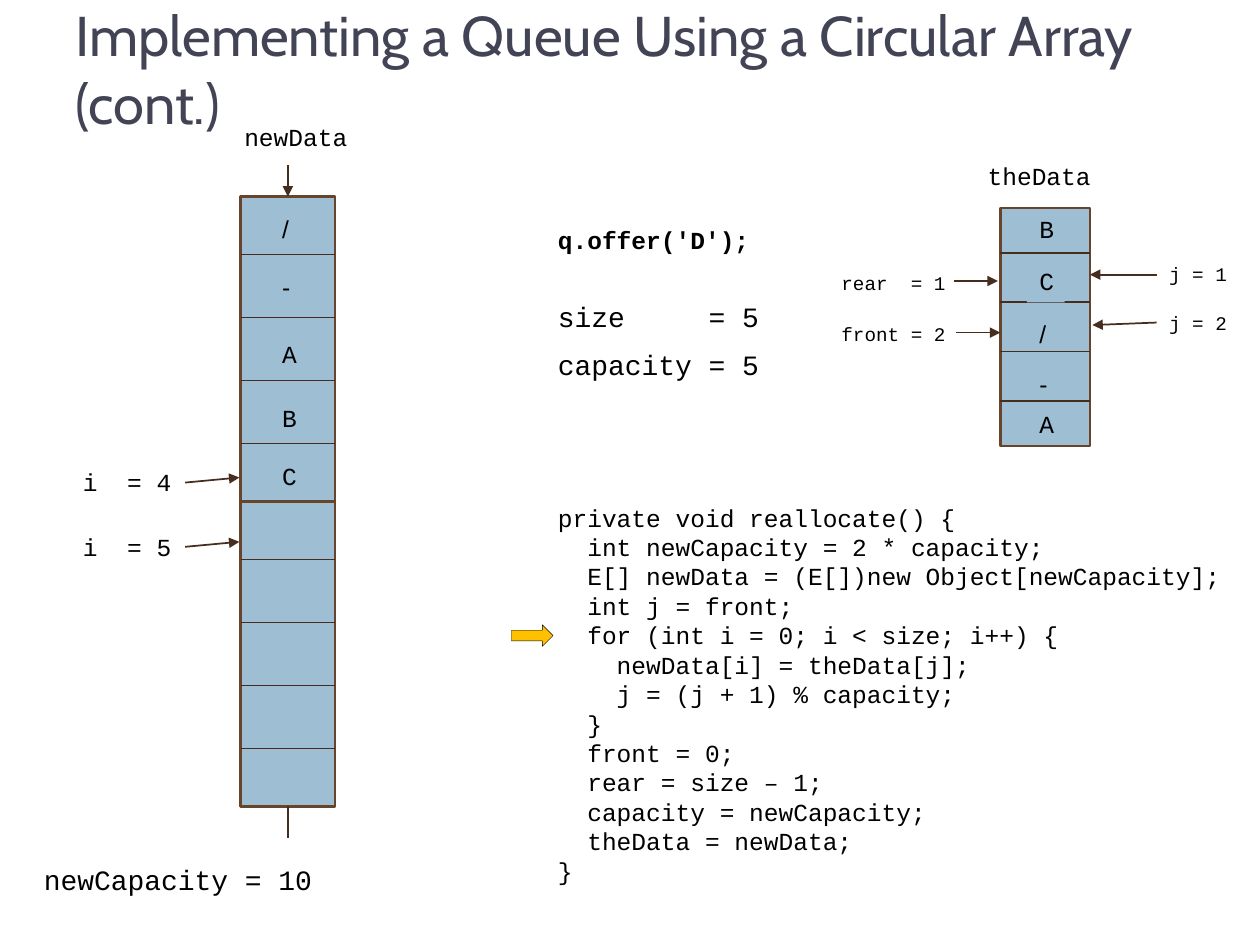
import pptx
import pptx.dml.color
import pptx.enum.shapes
import pptx.enum.text
import pptx.oxml.ns
import pptx.util
from lxml import etree

THEME = {
    "title": "424456", "ink": "000000", "cell": "9DBED3", "frame": "67452D",
    "line": "462E1F", "marker": "FFC000",
    "title_font": "Cabin", "code_font": "Courier New", "symbol_font": "Arial",
    "title_size": 32, "value_size": 16, "code_size": 14, "label_size": 11,
}
SLIDE = (10, 7.5)

TITLE = "Implementing a Queue Using a Circular Array (cont.)"
CODE = [
    "private void reallocate() {",
    "  int newCapacity = 2 * capacity;",
    "  E[] newData = (E[])new Object[newCapacity];",
    "  int j = front;",
    "  for (int i = 0; i < size; i++) {",
    "    newData[i] = theData[j];",
    "    j = (j + 1) % capacity;",
    "  }",
    "  front = 0;",
    "  rear = size – 1;",
    "  capacity = newCapacity;",
    "  theData = newData;",
    "}",
]
CODE_LEFT = 4.33

# Each block holds five cells: left, top, width, height.
NEW_DATA_BLOCKS = [(1.91, 1.56, 0.75, 2.42), (1.91, 3.98, 0.75, 2.42)]
THE_DATA_BLOCK = (7.94, 1.65, 0.71, 1.89)
END_CELL = 0.19  # share of a block taken by its first and its last cell

# Letter and the top of its box.
NEW_DATA_ITEMS = [("/", 1.65), ("-", 2.11), ("A", 2.64), ("B", 3.15), ("C", 3.61)]
THE_DATA_ITEMS = [("B", 1.65), ("C", 2.06), ("/", 2.48), ("-", 2.88), ("A", 3.2)]

# Text, box, type size.
VALUES = [
    ("size     = 5", (CODE_LEFT, 2.33, 1.82, 0.37), "value_size"),
    ("capacity = 5", (CODE_LEFT, 2.71, 1.82, 0.37), "value_size"),
    ("newCapacity = 10", (0.25, 6.8, 3.33, 0.37), "value_size"),
    ("newData", (1.84, 0.92, 1.08, 0.34), "code_size"),
    ("theData", (7.74, 1.23, 1.08, 0.34), "code_size"),
]
# Text, box, type size, arrow start, arrow end.
POINTERS = [
    ("front = 2", (6.58, 2.51, 1.04, 0.29), "label_size", (7.59, 2.64), (7.94, 2.64)),
    ("rear  = 1", (6.58, 2.1, 1.04, 0.29), "label_size", (7.57, 2.23), (7.92, 2.23)),
    ("j = 1", (9.18, 2.03, 0.67, 0.29), "label_size", (9.18, 2.18), (8.65, 2.18)),
    ("j = 2", (9.18, 2.42, 0.67, 0.29), "label_size", (9.18, 2.56), (8.67, 2.58)),
    ("i  = 4", (0.56, 3.66, 0.91, 0.34), "code_size", (1.47, 3.83), (1.9, 3.79)),
    ("i  = 5", (0.56, 4.17, 0.91, 0.34), "code_size", (1.47, 4.34), (1.9, 4.3)),
]

SHAPES = pptx.enum.shapes.MSO_SHAPE
ANCHORS = pptx.enum.text.MSO_ANCHOR


def inches(lengths):
    return [pptx.util.Inches(length) for length in lengths]


def color(role):
    return pptx.dml.color.RGBColor.from_string(THEME[role])


def add_text(slide, text, box, size="code_size", font="code_font", ink="ink",
             bold=False, wrap=True, anchor=ANCHORS.TOP, fill=None):
    """Add a text box; each line of text becomes a paragraph."""
    label = slide.shapes.add_textbox(*inches(box))
    if fill:
        label.fill.solid()
        label.fill.fore_color.rgb = color(fill)
    frame = label.text_frame
    frame.word_wrap = wrap
    frame.vertical_anchor = anchor
    frame.text = text
    for paragraph in frame.paragraphs:
        paragraph.font.size = pptx.util.Pt(THEME[size])
        paragraph.font.name = THEME[font]
        paragraph.font.bold = bold
        paragraph.font.color.rgb = color(ink)


def add_line(slide, start, end, arrow=False):
    line = slide.shapes.add_connector(
        pptx.enum.shapes.MSO_CONNECTOR.STRAIGHT, *inches(start + end))
    line.line.color.rgb = color("line")
    line.line.width = pptx.util.Pt(1)
    if arrow:
        etree.SubElement(line.line._get_or_add_ln(),
                         pptx.oxml.ns.qn("a:tailEnd"), type="triangle")
    etree.SubElement(line._element.spPr, pptx.oxml.ns.qn("a:effectLst"))


def add_filled(slide, kind, box, fill, outline, width):
    shape = slide.shapes.add_shape(kind, *inches(box))
    shape.shadow.inherit = False
    shape.fill.solid()
    shape.fill.fore_color.rgb = color(fill)
    shape.line.color.rgb = color(outline)
    shape.line.width = pptx.util.Pt(width)


def add_block(slide, box):
    """Draw five stacked cells, the three inner ones of equal height."""
    left, top, width, height = box
    add_filled(slide, SHAPES.RECTANGLE, box, "cell", "frame", 1.5)
    inner_cell = (1 - 2 * END_CELL) / 3
    for row in range(4):
        y = top + height * (END_CELL + row * inner_cell)
        add_line(slide, (left, y), (left + width, y))


def add_items(slide, items, left):
    for item, top in items:
        font = "code_font" if item.isalpha() else "symbol_font"
        # The rear item of theData is set on a patch of the cell colour.
        fill = "cell" if (item, top) == THE_DATA_ITEMS[1] else None
        add_text(slide, item, (left, top, 0.3, 0.34), font=font, fill=fill)


def main():
    deck = pptx.Presentation()
    deck.slide_width, deck.slide_height = inches(SLIDE)
    slide = deck.slides.add_slide(deck.slide_layouts[6])

    add_text(slide, TITLE, (0.5, 0, 8.92, 1.08), size="title_size",
             font="title_font", ink="title", anchor=ANCHORS.MIDDLE)
    add_text(slide, "q.offer('D');", (CODE_LEFT, 1.74, 5, 0.34), bold=True)
    add_text(slide, "\n".join(CODE), (CODE_LEFT, 3.94, 5.5, 3.16))
    add_filled(slide, SHAPES.RIGHT_ARROW, (4.06, 4.96, 0.33, 0.17),
               "marker", "ink", 0.25)

    for block in NEW_DATA_BLOCKS + [THE_DATA_BLOCK]:
        add_block(slide, block)
    add_items(slide, NEW_DATA_ITEMS, 2.14)
    add_items(slide, THE_DATA_ITEMS, 8.15)

    left, top, width, height = NEW_DATA_BLOCKS[0]
    middle, bottom, stub = left + width / 2, top + 2 * height, 0.25
    add_line(slide, (middle, top - stub), (middle, top), arrow=True)
    add_line(slide, (middle, bottom), (middle, bottom + stub))

    for text, box, size in VALUES:
        add_text(slide, text, box, size=size, wrap=False)
    for text, box, size, start, end in POINTERS:
        add_text(slide, text, box, size=size, wrap=False)
        add_line(slide, start, end, arrow=True)

    deck.save("out.pptx")


if __name__ == "__main__":
    main()
